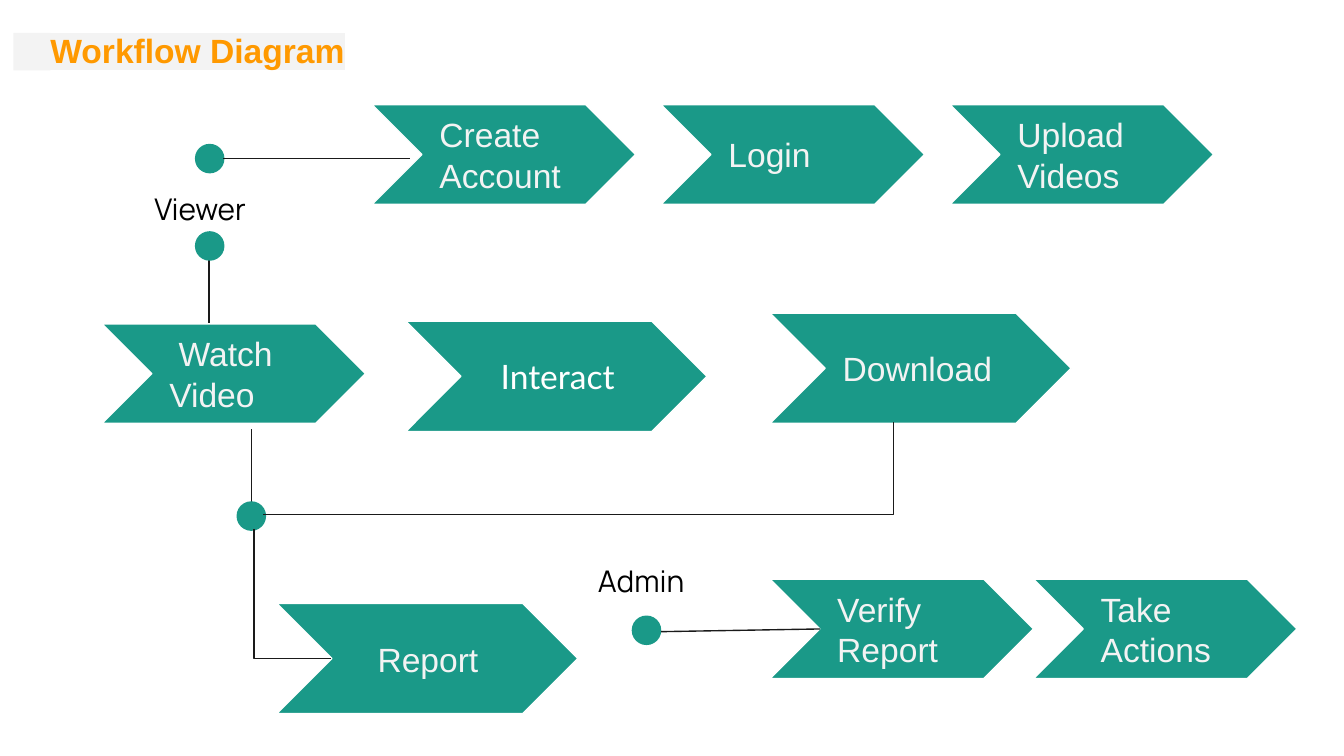
"""Build a workflow diagram slide on a grid of tenth-inch columns and rows."""
from typing import NamedTuple

from pptx import Presentation
from pptx.dml.color import RGBColor
from pptx.enum.shapes import MSO_CONNECTOR, MSO_SHAPE
from pptx.enum.text import MSO_ANCHOR, PP_ALIGN
from pptx.oxml.ns import qn
from pptx.util import Inches, Pt
from lxml import etree

CHEVRON, OVAL, RECT = MSO_SHAPE.CHEVRON, MSO_SHAPE.OVAL, MSO_SHAPE.RECTANGLE
STRAIGHT, ELBOW = MSO_CONNECTOR.STRAIGHT, MSO_CONNECTOR.ELBOW
TOP, MIDDLE = MSO_ANCHOR.TOP, MSO_ANCHOR.MIDDLE
LEFT, CENTER = PP_ALIGN.LEFT, PP_ALIGN.CENTER

COLS, ROWS = 100, 56.25
TEAL, INK, PALE, ORANGE = "1A9988", "1A1A1A", "F3F3F3", "FF9900"
WHITE, BLACK = "FFFFFF", "000000"
SMALL, LARGE = (19.6, 7.4), (22.4, 8.2)
DOT = 2.2


class Step(NamedTuple):
    """A chevron with its label and first-line indent."""
    col: float
    row: float
    text: str
    size: tuple[float, float] = SMALL
    indent: float = 0


class Link(NamedTuple):
    """A line between two grid points."""
    col: float
    row: float
    to_col: float
    to_row: float
    bent: bool = False


class Role(NamedTuple):
    """The name of an actor."""
    col: float
    row: float
    text: str
    height: float


TOP_STEPS = [Step(27.7 + 21.5 * i, 7.8, text)
             for i, text in enumerate(["Create Account", "Login", "Upload Videos"])]
ADMIN_STEPS = [Step(57.3 + SMALL[0] * i, 43.1, text)
               for i, text in enumerate(["Verify Report", "Take\nActions"])]
STEPS = TOP_STEPS + ADMIN_STEPS + [
    Step(7.6, 24.1, "Watch Video", indent=0.7),
    Step(30.2, 23.9, "", LARGE),
    Step(57.3, 23.3, "Download", LARGE),
    Step(20.6, 44.9, "Report", LARGE, 2.1),
]
STEMS = [Link(15.55, 17.6, 15.55, 24), Link(18.7, 39.5, 18.7, 31.9)]
LINKS = [
    Link(16.6, 11.8, 30.5, 11.8),
    Link(24.6, 49, 18.9, 39.4, True),
    Link(19.6, 38.3, 66.5, 31.4, True),
    Link(49.2, 47, 61, 46.8),
]
DOTS = [(14.5, 10.7), (14.5, 17.2), (17.6, 37.3), (47, 45.8)]
ROLES = [Role(10.5, 13.2, "Viewer", 3.8), Role(43.5, 40.9, "Admin", 4.4)]


def cell(count: float) -> int:
    """Turn a count of grid cells into a length."""
    return Inches(count / 10)


def paint(target, color: str) -> None:
    """Give a fill a solid colour."""
    target.solid()
    target.fore_color.rgb = RGBColor.from_string(color)


def write(shape, text: str, *, font="Arial", size=18, color=PALE, bold=False,
          align=LEFT, anchor=TOP, inset=1.0, left=None, indent=0.0,
          mark=None) -> None:
    """Write formatted text into a shape."""
    frame = shape.text_frame
    frame.word_wrap = True
    frame.vertical_anchor = anchor
    frame.margin_top = frame.margin_bottom = frame.margin_right = cell(inset)
    frame.margin_left = cell(inset if left is None else left)
    for i, line in enumerate(text.split("\n")):
        para = frame.add_paragraph() if i else frame.paragraphs[0]
        para.alignment = align
        if indent and not i:
            para._p.get_or_add_pPr().set("indent", str(cell(indent)))
        run = para.add_run()
        run.text = line
        run.font.name, run.font.size, run.font.bold = font, Pt(size), bold
        paint(run.font.fill, color)
        if mark:
            glow = etree.Element(qn("a:highlight"))
            etree.SubElement(glow, qn("a:srgbClr"), val=mark)
            run.font._element.find(qn("a:solidFill")).addnext(glow)


def add_box(slide, col: float, row: float, width: float, height: float):
    """Add an empty text box."""
    return slide.shapes.add_textbox(cell(col), cell(row), cell(width), cell(height))


def add_form(slide, kind, col: float, row: float, width: float, height: float,
             fill=TEAL, edge=None):
    """Add a flat preset shape."""
    form = slide.shapes.add_shape(kind, cell(col), cell(row), cell(width), cell(height))
    form.shadow.inherit = False
    paint(form.fill, fill)
    if edge:
        paint(form.line.fill, edge)
        form.line.width = Pt(0.75)
    else:
        form.line.fill.background()
    return form


def add_step(slide, step: Step) -> None:
    """Draw one step of the workflow."""
    form = add_form(slide, CHEVRON, step.col, step.row, *step.size, edge=WHITE)
    form.adjustments[0] = 0.5
    if step.text:
        write(form, step.text, anchor=MIDDLE, inset=1.3, indent=step.indent)


def add_link(slide, link: Link) -> None:
    """Draw a straight line or one with a single corner."""
    line = slide.shapes.add_connector(
        ELBOW if link.bent else STRAIGHT, cell(link.col), cell(link.row),
        cell(link.to_col), cell(link.to_row))
    paint(line.line.fill, INK)
    line.line.width = Pt(0.75)
    props = line._element.spPr
    etree.SubElement(props, qn("a:effectLst"))
    if link.bent:
        props.find(qn("a:prstGeom")).set("prst", "bentConnector2")


def main() -> None:
    """Build and save the slide."""
    deck = Presentation()
    deck.slide_width, deck.slide_height = cell(COLS), cell(ROWS)
    slide = deck.slides.add_slide(deck.slide_layouts[6])
    add_form(slide, RECT, 1, 2.45, 2.75, 2.8, fill=PALE)
    write(add_box(slide, 0, 1.2, 62.2, 5.1), "Workflow Diagram",
          color=ORANGE, bold=True, left=3.75, mark=PALE)
    for step in STEPS:
        add_step(slide, step)
    write(add_box(slide, 34.3, 25.4, 14.4, 5.1), "Interact",
          font="Lato", color=WHITE, align=CENTER, anchor=MIDDLE)
    for role in ROLES:
        write(add_box(slide, role.col, role.row, 9.1, role.height), role.text,
              font="Manrope", size=16, color=BLACK)
    for stem in STEMS:
        add_link(slide, stem)
    for col, row in DOTS:
        add_form(slide, OVAL, col, row, DOT, DOT)
    for link in LINKS:
        add_link(slide, link)
    deck.save("out.pptx")


if __name__ == "__main__":
    main()
